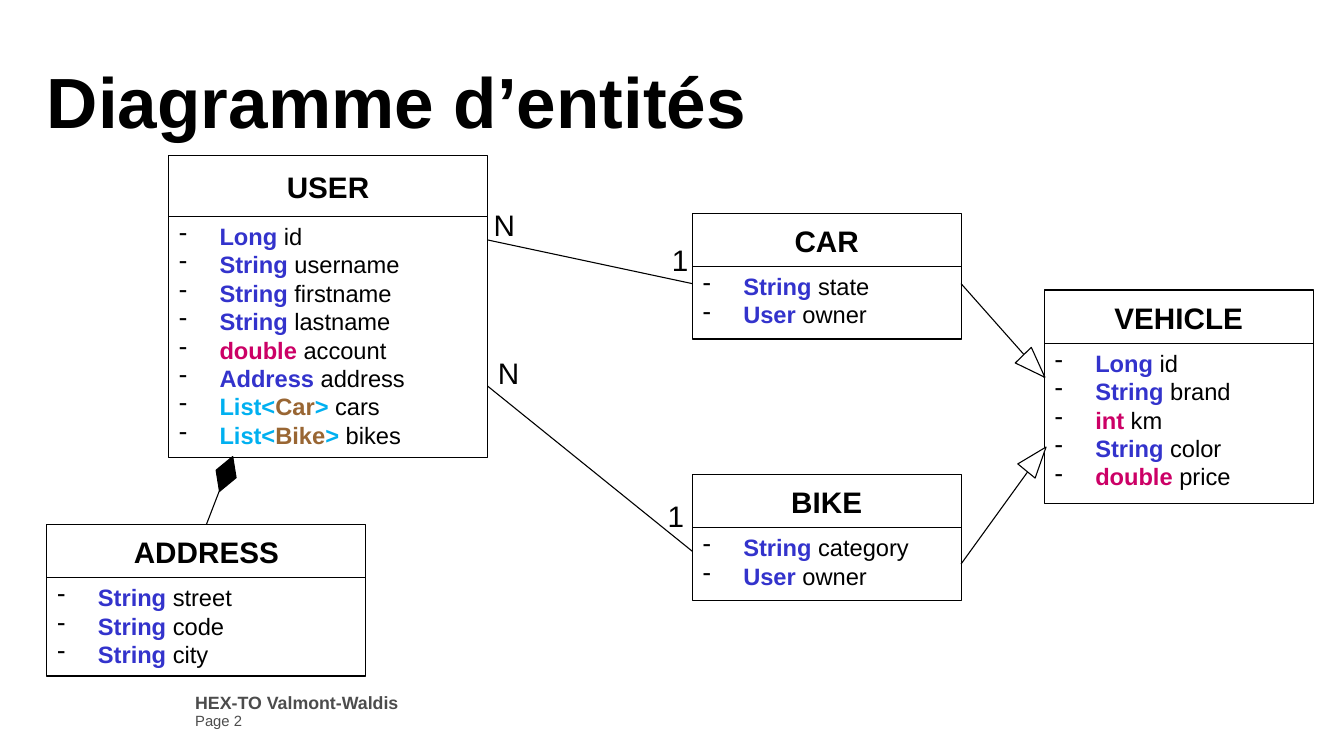
from dataclasses import dataclass
from typing import NamedTuple, Optional

import lxml.etree
import pptx
import pptx.dml.color
import pptx.enum.shapes
import pptx.enum.text
import pptx.oxml.ns
import pptx.util

EMU_PER_PX = 9144  # 100 px to the inch
SHAPE = pptx.enum.shapes.MSO_SHAPE
ANCHOR = pptx.enum.text.MSO_ANCHOR
ALIGN = pptx.enum.text.PP_ALIGN
qn = pptx.oxml.ns.qn


@dataclass(frozen=True)
class Theme:
    font: str = "Arial"
    ink: str = "000000"
    paper: str = "FFFFFF"
    footer: str = "4C4C4C"
    class_type: str = "3333CC"
    primitive: str = "CC0066"
    generic: str = "00B0F0"
    parameter: str = "996633"
    title_size: int = 48
    head_size: int = 20
    field_size: int = 16
    footer_size: int = 12
    page_size: int = 10
    line_width: float = 0.75


class Field(NamedTuple):
    kind: str
    name: str


@dataclass(frozen=True)
class Entity:
    name: str
    x: int
    y: int
    w: int
    head_h: int
    body_h: int
    fields: tuple[Field, ...]


class Link(NamedTuple):
    x1: int
    y1: int
    x2: int
    y2: int
    start: Optional[tuple[str, int]] = None  # shape key and connection site


class Marker(NamedTuple):
    shape: SHAPE
    x: int
    y: int
    w: int
    h: int
    rotation: float
    fill: str


class Label(NamedTuple):
    text: str
    x: int
    y: int


T = Theme()
PRIMITIVES = {"int", "double"}

ENTITIES = (
    Entity("VEHICLE", 979, 272, 252, 51, 150, (
        Field("Long", "id"), Field("String", "brand"), Field("int", "km"),
        Field("String", "color"), Field("double", "price"))),
    Entity("BIKE", 649, 445, 252, 51, 68, (
        Field("String", "category"), Field("User", "owner"))),
    Entity("CAR", 649, 200, 252, 51, 68, (
        Field("String", "state"), Field("User", "owner"))),
    Entity("USER", 158, 146, 299, 58, 226, (
        Field("Long", "id"), Field("String", "username"),
        Field("String", "firstname"), Field("String", "lastname"),
        Field("double", "account"), Field("Address", "address"),
        Field("List<Car>", "cars"), Field("List<Bike>", "bikes"))),
    Entity("ADDRESS", 44, 492, 299, 51, 92, (
        Field("String", "street"), Field("String", "code"),
        Field("String", "city"))),
)
LINKS = (
    Link(193, 492, 217, 431, ("ADDRESS head", 0)),
    Link(457, 225, 649, 266),
    Link(457, 362, 649, 517),
    Link(901, 266, 979, 354),
    Link(901, 529, 979, 421, ("BIKE body", 3)),
)
MARKERS = (
    Marker(SHAPE.DIAMOND, 202, 427, 20, 35, 20.7, T.ink),
    Marker(SHAPE.ISOSCELES_TRIANGLE, 959, 329, 21, 29, 135.8, T.paper),
    Marker(SHAPE.ISOSCELES_TRIANGLE, 961, 416, 21, 29, 39.3, T.paper),
)
LABELS = (Label("1", 620, 222), Label("N", 453, 189),
          Label("N", 457, 328), Label("1", 616, 462))


def px(n: int) -> pptx.util.Emu:
    return pptx.util.Emu(n * EMU_PER_PX)


def rgb(color: str) -> pptx.dml.color.RGBColor:
    return pptx.dml.color.RGBColor.from_string(color)


def add_run(p, text: str, size: int, color: str = T.ink, bold: bool = False) -> None:
    r = p.add_run()
    r.text = text
    r.font.name = T.font
    r.font.size = pptx.util.Pt(size)
    r.font.bold = bold
    r.font.color.rgb = rgb(color)


def add_text(s, x: int, y: int, w: int, h: int, inset: bool = True):
    tf = s.shapes.add_textbox(px(x), px(y), px(w), px(h)).text_frame
    tf.word_wrap = True
    if not inset:
        tf.margin_left = tf.margin_top = tf.margin_right = tf.margin_bottom = 0
    return tf


def add_outlined(s, shape: SHAPE, x: int, y: int, w: int, h: int, fill: str = T.paper):
    sp = s.shapes.add_shape(shape, px(x), px(y), px(w), px(h))
    sp.shadow.inherit = False
    sp.fill.solid()
    sp.fill.fore_color.rgb = rgb(fill)
    sp.line.color.rgb = rgb(T.ink)
    sp.line.width = pptx.util.Pt(T.line_width)
    return sp


def set_dash_bullet(p) -> None:
    pPr = p._p.get_or_add_pPr()
    pPr.set("marL", str(px(38)))
    pPr.set("indent", str(-px(38)))
    color = lxml.etree.SubElement(pPr, qn("a:buClr"))
    lxml.etree.SubElement(color, qn("a:srgbClr"), val=T.ink)
    lxml.etree.SubElement(pPr, qn("a:buChar"), char="-")


def add_field(p, field: Field) -> None:
    p.alignment = ALIGN.LEFT
    set_dash_bullet(p)
    outer, bracket, inner = field.kind.partition("<")
    if bracket:
        parts = ((outer + bracket, T.generic), (inner.rstrip(">"), T.parameter),
                 (">", T.generic))
    else:
        parts = ((outer, T.primitive if outer in PRIMITIVES else T.class_type),)
    for text, color in parts:
        add_run(p, text, T.field_size, color, True)
    add_run(p, f" {field.name}", T.field_size)


def add_entity(s, e: Entity) -> dict:
    head = add_outlined(s, SHAPE.RECTANGLE, e.x, e.y, e.w, e.head_h)
    tf = head.text_frame
    tf.vertical_anchor = ANCHOR.MIDDLE
    tf.paragraphs[0].alignment = ALIGN.CENTER
    add_run(tf.paragraphs[0], e.name, T.head_size, bold=True)

    body = add_outlined(s, SHAPE.RECTANGLE, e.x, e.y + e.head_h - 1, e.w, e.body_h)
    tf = body.text_frame
    tf.vertical_anchor = ANCHOR.TOP
    for i, field in enumerate(e.fields):
        add_field(tf.add_paragraph() if i else tf.paragraphs[0], field)
    return {f"{e.name} head": head, f"{e.name} body": body}


def add_link(s, link: Link, boxes: dict) -> None:
    c = s.shapes.add_connector(pptx.enum.shapes.MSO_CONNECTOR.STRAIGHT,
                               px(link.x1), px(link.y1), px(link.x2), px(link.y2))
    c.line.color.rgb = rgb(T.ink)
    c.line.width = pptx.util.Pt(T.line_width)
    lxml.etree.SubElement(c._element.spPr, qn("a:effectLst"))
    if link.start:
        key, site = link.start
        c.begin_connect(boxes[key], site)


def main() -> None:
    prs = pptx.Presentation()
    prs.slide_width, prs.slide_height = px(1260), px(709)
    s = prs.slides.add_slide(prs.slide_layouts[6])

    # Footer
    tf = add_text(s, 183, 651, 295, 28, inset=False)
    add_run(tf.paragraphs[0], "HEX-TO Valmont-Waldis", T.footer_size, T.footer, True)
    add_run(tf.add_paragraph(), "Page 2", T.page_size, T.footer)
    for p in tf.paragraphs:
        p.line_spacing = 0.9

    # Title
    tf = add_text(s, 44, 47, 1165, 98, inset=False)
    tf.margin_top = px(7)
    add_run(tf.paragraphs[0], "Diagramme d’entités", T.title_size, bold=True)

    # Entities
    boxes = {}
    for entity in ENTITIES:
        boxes.update(add_entity(s, entity))

    # Relations with their end markers
    for link in LINKS:
        add_link(s, link, boxes)
    for m in MARKERS:
        add_outlined(s, m.shape, m.x, m.y, m.w, m.h, m.fill).rotation = m.rotation

    # Multiplicities
    for label in LABELS:
        tf = add_text(s, label.x, label.y, 35, 44)
        tf.auto_size = pptx.enum.text.MSO_AUTO_SIZE.SHAPE_TO_FIT_TEXT
        add_run(tf.paragraphs[0], label.text, T.head_size)

    prs.save("out.pptx")


if __name__ == "__main__":
    main()
